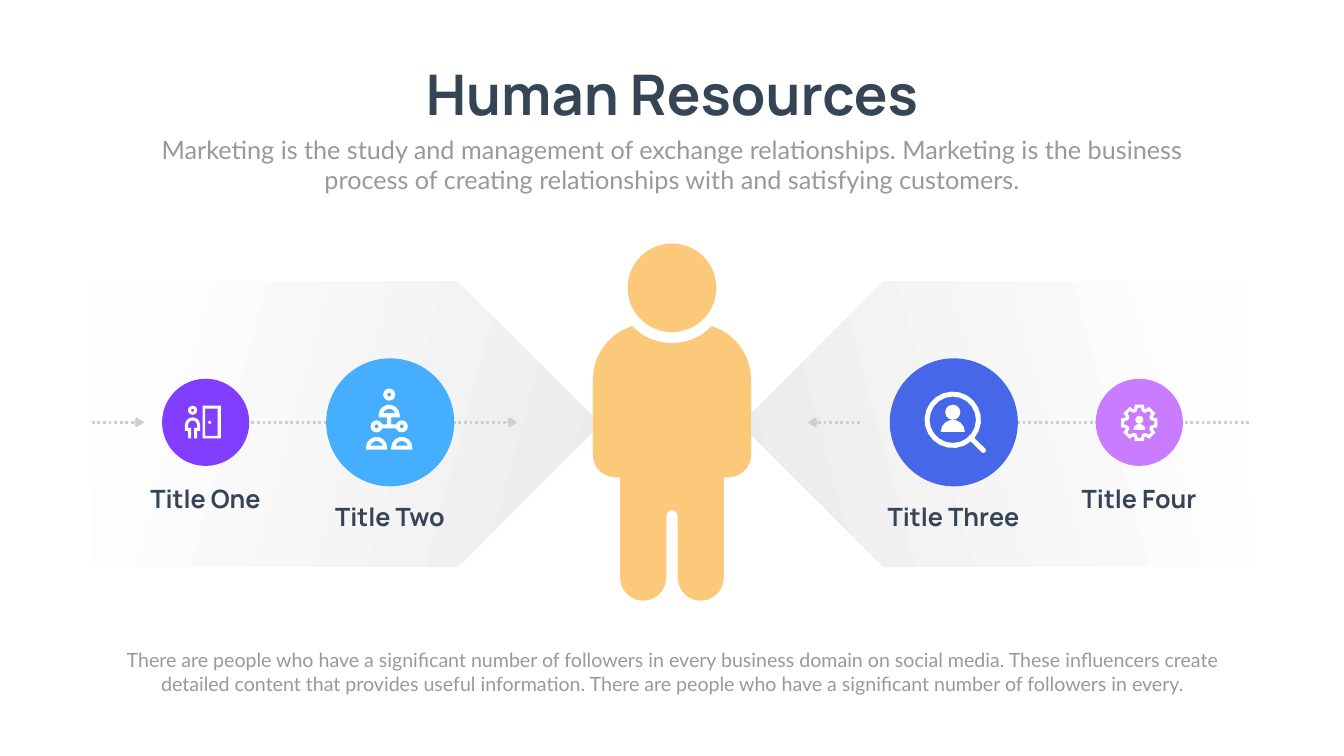
from dataclasses import dataclass
from math import ceil, cos, radians, sin, sqrt

from lxml import etree
from pptx import Presentation
from pptx.dml.color import RGBColor
from pptx.enum.dml import MSO_LINE
from pptx.enum.shapes import MSO_CONNECTOR, MSO_SHAPE
from pptx.enum.text import MSO_ANCHOR, MSO_AUTO_SIZE, PP_ALIGN
from pptx.oxml.ns import qn
from pptx.util import Inches, Pt

LINE, DOTS = MSO_CONNECTOR.STRAIGHT, MSO_LINE.ROUND_DOT
OVAL, DONUT, PLATE = MSO_SHAPE.OVAL, MSO_SHAPE.DONUT, MSO_SHAPE.PENTAGON
TOP, FIT, CENTER = MSO_ANCHOR.TOP, MSO_AUTO_SIZE.NONE, PP_ALIGN.CENTER

# The grid has square cells of one inch
COLS, ROWS = 26.66, 15
MID, AXIS = COLS / 2, 8.38
INK, GRAY, WHITE, SKIN = "364556", "999999", "FFFFFF", "FCC87A"

Loop = list[tuple[float, float]]
Part = list[Loop]


@dataclass
class Ring:
    x: float
    y: float
    r: float
    hole: float = 0


@dataclass
class Spot:
    title: str
    x: float
    size: float
    color: str
    label: float
    icon: list[Part | Ring]
    icon_x: float


def cell(n: float) -> int:
    return round(Inches(1) * n)


def rgb(color: str) -> RGBColor:
    return RGBColor.from_string(color)


# Outlines
def arc(x: float, y: float, r: float, start: float, end: float) -> Loop:
    """Sample an arc, with longer steps for smaller radii."""
    sweep = radians(end - start)
    steps = ceil(abs(sweep) * sqrt(r) / .22)
    turns = [radians(start) + sweep * i / steps for i in range(steps + 1)]
    return [(x + r * cos(t), y + r * sin(t)) for t in turns]


def box(left: float, top: float, right: float, low: float) -> Loop:
    return [(left, top), (right, top), (right, low), (left, low)]


def even(half: Loop) -> Loop:
    """Close a left half with its mirror image about x = 0."""
    return half + [(-x, y) for x, y in reversed(half)]


def bust(x: float, y: float) -> Part:
    dome = arc(x, y, .21, 180, 360) + [(x + .21, y + .04), (x - .21, y + .04)]
    return [dome, arc(x, y, .13, 198, 342)]


def gear(tooth: Loop) -> Loop:
    turns = [radians(45 * i) for i in range(8)]
    return [(x * cos(t) - y * sin(t), .01 + x * sin(t) + y * cos(t))
            for t in turns for x, y in tooth]


FIGURE = even(
    arc(0, 5.71, 1.1, 90, 136) + arc(-.46, 7.53, 1.11, 252.7, 180)
    + arc(-1.13, 9.03, .44, 180, 90) + [(-1.03, 9.47)]
    + arc(-.57, 11.46, .46, 180, 0) + arc(0, 10.23, .11, 180, 270))

LEAVE = [
    Ring(0, -.24, .09, .03),
    [even([(-.03, .11), (-.03, .32), (-.09, .32), (-.09, .17), (-.15, .17)]
          + arc(0, .05, .15, 180, 270))
     + [(.09, .11)] + arc(0, .05, .09, 360, 180) + [(-.09, .11)]],
    [box(.2, -.33, .56, .32), box(.25, -.27, .5, .27)],
    Ring(.34, 0, .03),
]
TEAM = [
    Ring(0, -.55, .12, .04), Ring(-.25, .08, .12, .04), Ring(.25, .08, .12, .04),
    bust(0, -.14) + [even([(-.04, -.1), (-.04, .04), (-.14, .04), (-.14, .12)])],
    bust(-.25, .5), bust(.25, .5),
]
SEARCH = [
    Ring(0, -.2, .15),
    [arc(0, .19, .24, 180, 360)],
    [arc(0, -.05, .56, 50, 400) + [(.65, .53), (.66, .57), (.62, .61), (.58, .6)],
     arc(0, -.05, .46, 0, 360)],
]
SKILL = [
    [gear([(.28, -.1), (.36, -.09), (.36, .09), (.28, .1)]),
     gear([(.22, -.06), (.3, -.03), (.3, .03), (.22, .06)])],
    Ring(0, -.05, .08),
    [arc(0, .15, .12, 180, 360)],
]
SPOTS = [
    Spot("Title One", 4.08, 1.73, "823EFE", 9.54, LEAVE, 3.82),
    Spot("Title Two", 7.74, 2.54, "45AEFF", 9.9, TEAM, 7.72),
    Spot("Title Three", 18.92, 2.54, "4567E8", 9.9, SEARCH, 18.9),
    Spot("Title Four", 22.6, 1.73, "C97CFF", 9.54, SKILL, 22.6),
]
ARROWS = [(1.82, 2.86), (4.43, 10.26), (24.78, 18.95), (17.06, 16.02)]


# Drawing
def place(shape, x: float, y: float, w: float, h: float) -> None:
    shape.left, shape.top, shape.width, shape.height = map(cell, (x, y, w, h))


def paint(shape, color: str) -> None:
    shape.shadow.inherit = False
    shape.fill.solid()
    shape.fill.fore_color.rgb = rgb(color)
    shape.line.fill.background()


def write(shape, text: str, font: str, size: int, color: str,
          bold: bool = False, wrap: bool = True) -> None:
    frame = shape.text_frame
    frame.text, frame.word_wrap = text, wrap
    frame.auto_size, frame.vertical_anchor = FIT, TOP
    para = frame.paragraphs[0]
    para.alignment, para.space_before = CENTER, Pt(0)
    para.font.name, para.font.size, para.font.bold = font, Pt(size), bold
    para.font.color.rgb = rgb(color)


def trace(shapes, part: Part, x: float, y: float, color: str) -> None:
    loops = [[(cell(x + a), cell(y + b)) for a, b in loop] for loop in part]
    pen = shapes.build_freeform(*loops[0][0], scale=1.0)
    for i, loop in enumerate(loops):
        if i:
            pen.move_to(*loop[0])
        pen.add_line_segments(loop[1:], close=True)
    paint(pen.convert_to_shape(), color)


def circle(shapes, ring: Ring, x: float, y: float, color: str) -> None:
    r = ring.r
    shape = shapes.add_shape(DONUT if ring.hole else OVAL, cell(x + ring.x - r),
                             cell(y + ring.y - r), cell(2 * r), cell(2 * r))
    if ring.hole:
        shape.adjustments[0] = (r - ring.hole) / (2 * r)
    paint(shape, color)


def plate(shapes, left: float, flip: bool) -> None:
    shape = shapes.add_shape(PLATE, 0, 0, 0, 0)
    place(shape, left, 5.58, 10.09, 5.66)
    paint(shape, WHITE)
    shape.fill.gradient()
    shape.fill.gradient_angle = 345
    for stop, color in zip(shape.fill.gradient_stops, (WHITE, "EBEBEB")):
        stop.color.rgb = rgb(color)
    first = next(shape.element.spPr.iter(qn("a:srgbClr")))
    etree.SubElement(first, qn("a:alpha")).set("val", "50000")
    if flip:
        shape.element.spPr.find(qn("a:xfrm")).set("flipH", "1")


def arrow(shapes, start: float, end: float) -> None:
    link = shapes.add_connector(LINE, cell(start), cell(AXIS), cell(end), cell(AXIS))
    link.line.color.rgb, link.line.width = rgb("CFCDD0"), Pt(4)
    link.line.dash_style = DOTS
    edge = link.element.spPr.find(qn("a:ln"))
    etree.SubElement(edge, qn("a:tailEnd")).set("type", "arrow")
    etree.SubElement(link.element.spPr, qn("a:effectLst"))


def main() -> None:
    deck = Presentation()
    deck.slide_width, deck.slide_height = cell(COLS), cell(ROWS)
    slide = deck.slides.add_slide(deck.slide_layouts[0])
    shapes = slide.shapes

    # Heading
    head, body = slide.placeholders
    place(head, 7.97, 1.14, 10.72, 1.45)
    write(head, "Human Resources", "Manrope", 80, INK, True, False)
    place(body, 2.92, 2.61, 20.82, 1.31)
    write(body, "Marketing is the study and management of exchange relationships. "
          "Marketing is the business process of creating relationships with and "
          "satisfying customers.", "Lato", 36, GRAY)

    # Backdrop and arrows
    plate(shapes, 1.82, False)
    plate(shapes, 14.68, True)
    for start, end in ARROWS:
        arrow(shapes, start, end)

    # Figure
    trace(shapes, [FIGURE], MID, 0, SKIN)
    circle(shapes, Ring(0, 0, .88), MID, 5.71, SKIN)

    # Topics
    for spot in SPOTS:
        circle(shapes, Ring(0, 0, spot.size / 2), spot.x, AXIS, spot.color)
        group = shapes.add_group_shape().shapes
        for part in spot.icon:
            draw = circle if isinstance(part, Ring) else trace
            draw(group, part, spot.icon_x, AXIS, WHITE)
        label = shapes.add_textbox(0, 0, 0, 0)
        place(label, spot.x - 1.49, spot.label, 2.97, .71)
        write(label, spot.title, "Manrope", 36, INK, True)

    # Closing text
    note = shapes.add_textbox(0, 0, 0, 0)
    place(note, 1.88, 12.81, 22.91, 1.04)
    write(note, "There are people who have a significant number of followers in every "
          "business domain on social media. These influencers create detailed content "
          "that provides useful information. There are people who have a significant "
          "number of followers in every.", "Lato", 28, GRAY)
    deck.save("out.pptx")


if __name__ == "__main__":
    main()
